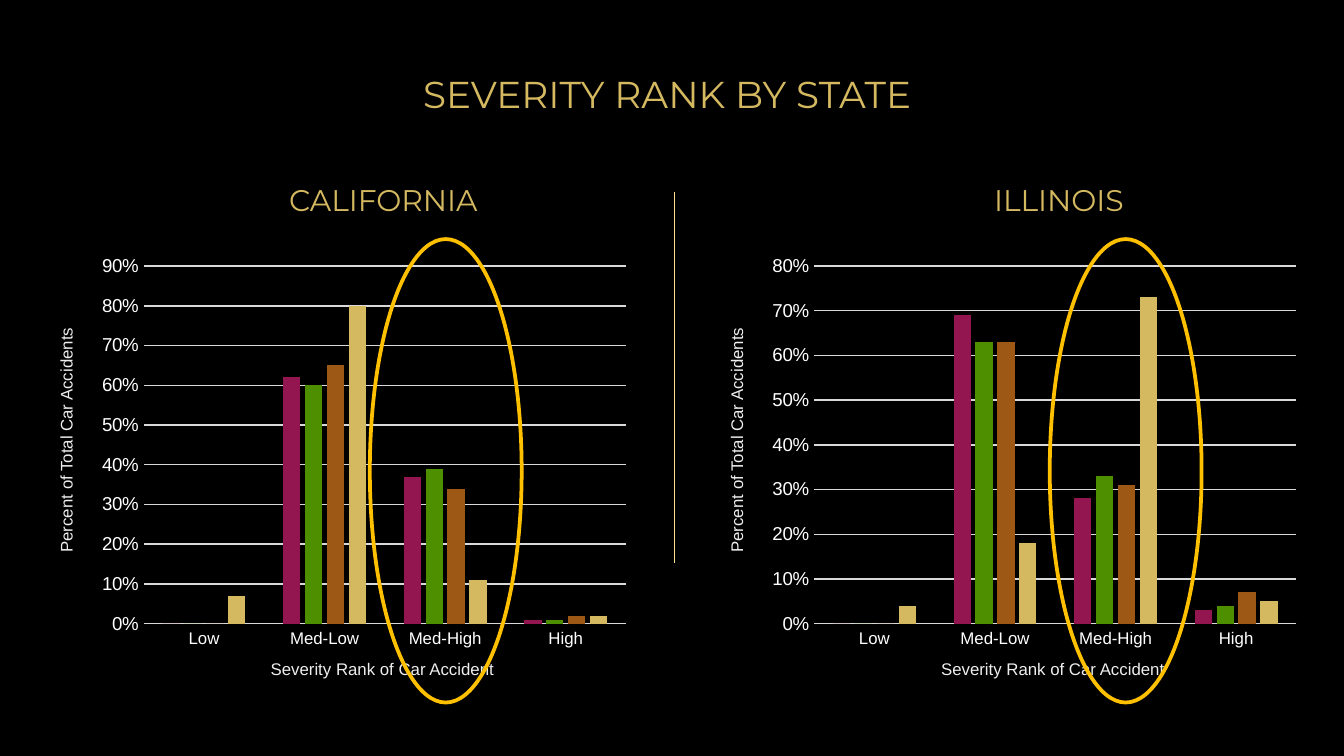
from lxml import etree
from pptx import Presentation
from pptx import util as u
from pptx.chart.data import CategoryChartData
from pptx.dml.color import RGBColor
from pptx.enum import chart as ch, shapes, text
from pptx.oxml import parse_xml
from pptx.oxml.ns import nsdecls, qn

COLOURS = {
    "back": "000000", "gold": "D5B961", "label": "EEEEEE", "axis": "FFFFFF",
    "grid": "D9D9D9", "divider": "FCE193", "ring": "FFC000",
}
SERIES = ["941651", "4E8F00", "9D5816", COLOURS["gold"]]
RANKS = ["Low", "Med-Low", "Med-High", "High"]
PLOT = {"x": 0.1, "y": 0.04, "w": 0.88, "h": 0.87}
SHIFT = 12.67  # distance between the two panels, in cm

# One panel per state: heading left and width, ring left, axis top, values
PANELS = [
    {"state": "CALIFORNIA", "heading": (3.89, 6.71), "ring": 6.99, "top": 0.9,
     "values": [(0, 0.62, 0.37, 0.01), (0, 0.6, 0.39, 0.01),
                (0, 0.65, 0.34, 0.02), (0.07, 0.8, 0.11, 0.02)]},
    {"state": "ILLINOIS", "heading": (16.23, 7.57), "ring": 19.84, "top": 0.8,
     "values": [(0, 0.69, 0.28, 0.03), (0, 0.63, 0.33, 0.04),
                (0, 0.63, 0.31, 0.07), (0.04, 0.18, 0.73, 0.05)]},
]


def colour(name):
    return RGBColor.from_string(COLOURS.get(name, name))


def apply(target, values):
    for name, value in values.items():
        setattr(target, name, value)


class SlideBuilder:
    def __init__(self, deck):
        self.page = deck.slides.add_slide(deck.slide_layouts[6])
        fill = self.page.background.fill
        fill.solid()
        fill.fore_color.rgb = colour("back")

    def style_font(self, font, size, name, tint):
        apply(font, {"size": u.Pt(size), "name": name, "bold": False})
        font.color.rgb = colour(tint)

    def style_line(self, line, tint, width):
        line.color.rgb = colour(tint)
        line.width = u.Pt(width)

    def add_text(self, words, area, size, font, tint, frame_format, turn=0):
        box = self.page.shapes.add_textbox(*map(u.Cm, area))
        box.rotation = turn
        apply(box.text_frame, {"word_wrap": True, **frame_format})
        para = box.text_frame.paragraphs[0]
        para.alignment = text.PP_ALIGN.CENTER
        span = para.add_run()
        span.text = words
        self.style_font(span.font, size, font, tint)

    def add_heading(self, words, area, size):
        inset = u.Cm(0.25)
        sides = ("left", "right", "top", "bottom")
        frame_format = {f"margin_{side}": inset for side in sides}
        frame_format["vertical_anchor"] = text.MSO_ANCHOR.BOTTOM
        self.add_text(words, area, size, "Montserrat", "gold", frame_format)

    def add_label(self, words, area, turn=0):
        grow = {"auto_size": text.MSO_AUTO_SIZE.SHAPE_TO_FIT_TEXT}
        self.add_text(words, area, 9, "Arial", "label", grow, turn)

    def add_columns(self, area, values, top):
        data = CategoryChartData(number_format="0%")
        data.categories = RANKS
        for number, row in enumerate(values, 1):
            data.add_series(f"Series {number}", row)
        chart = self.page.shapes.add_chart(
            ch.XL_CHART_TYPE.COLUMN_CLUSTERED, *map(u.Cm, area), data).chart
        apply(chart, {"has_legend": False, "has_title": False})
        self.style_font(chart.font, 10, "Arial", "back")

        # Columns
        plot = chart.plots[0]
        apply(plot, {"gap_width": 219, "overlap": -27,
                     "vary_by_categories": False})
        for series, tint in zip(plot.series, SERIES):
            series.format.fill.solid()
            series.format.fill.fore_color.rgb = colour(tint)

        # Axes
        ranks, shares = chart.category_axis, chart.value_axis
        for axis, size in ((ranks, 9), (shares, 10)):
            apply(axis, {"major_tick_mark": ch.XL_TICK_MARK.NONE,
                         "minor_tick_mark": ch.XL_TICK_MARK.NONE})
            self.style_font(axis.tick_labels.font, size, "Arial", "axis")
        apply(shares, {"minimum_scale": 0, "maximum_scale": top,
                       "major_unit": 0.1, "has_major_gridlines": True})
        apply(shares.tick_labels, {"number_format": "0%",
                                   "number_format_is_linked": False})
        shares.format.line.fill.background()
        self.style_line(ranks.format.line, "grid", 0.75)
        self.style_line(shares.major_gridlines.format.line, "grid", 0.75)
        self.place_plot(chart)

    def place_plot(self, chart):
        area = chart.plots[0]._element.getparent()
        for old in area.findall(qn("c:layout")):
            area.remove(old)
        parts = '<c:layoutTarget val="inner"/>'
        parts += "".join(f'<c:{key}Mode val="edge"/>' for key in "xy")
        parts += "".join(f'<c:{key} val="{val}"/>' for key, val in PLOT.items())
        area.insert(0, parse_xml(
            f'<c:layout {nsdecls("c")}><c:manualLayout>{parts}'
            '</c:manualLayout></c:layout>'))

    def add_divider(self, start, end):
        line = self.page.shapes.add_connector(
            shapes.MSO_CONNECTOR.STRAIGHT, *map(u.Cm, start + end))
        self.style_line(line.line, "divider", 0.75)
        etree.SubElement(line._element.spPr, qn("a:effectLst"))

    def add_ring(self, area):
        ring = self.page.shapes.add_shape(
            shapes.MSO_SHAPE.OVAL, *map(u.Cm, area))
        ring.shadow.inherit = False
        ring.fill.background()
        self.style_line(ring.line, "ring", 2)


def main():
    deck = Presentation()
    apply(deck, {"slide_width": u.Cm(25.4), "slide_height": u.Cm(14.29)})
    slide = SlideBuilder(deck)

    # State panels
    for index, panel in enumerate(PANELS):
        offset = index * SHIFT
        left, width = panel["heading"]
        slide.add_heading(panel["state"], (left, 2.95, width, 1.42), 16)
        slide.add_columns((1.68 + offset, 4.72, 10.36, 7.77),
                          panel["values"], panel["top"])
        slide.add_label("Percent of Total Car Accidents",
                        (-2.74 + offset, 8, 7.98, 0.64), turn=270)
        slide.add_label("Severity Rank of Car Accident",
                        (2.08 + offset, 12.32, 10.29, 0.64))

    # Divider and slide title
    slide.add_divider((12.75, 3.63), (12.75, 10.64))
    slide.add_heading("SEVERITY RANK BY STATE", (2.13, 1.02, 20.96, 1.42), 20)

    # Rings around the Med-High columns
    for panel in PANELS:
        slide.add_ring((panel["ring"], 4.52, 2.87, 8.76))

    deck.save("out.pptx")


if __name__ == "__main__":
    main()
